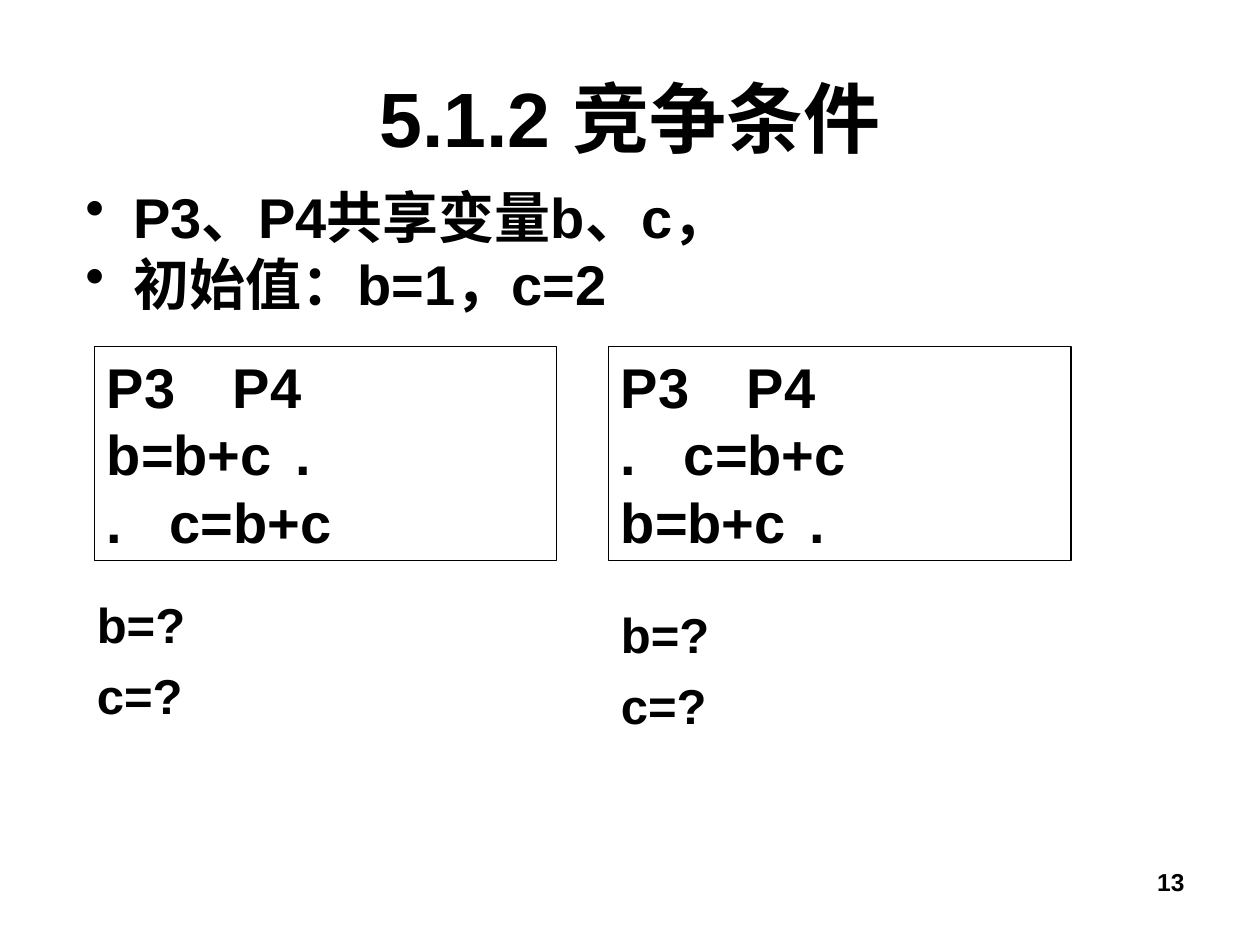
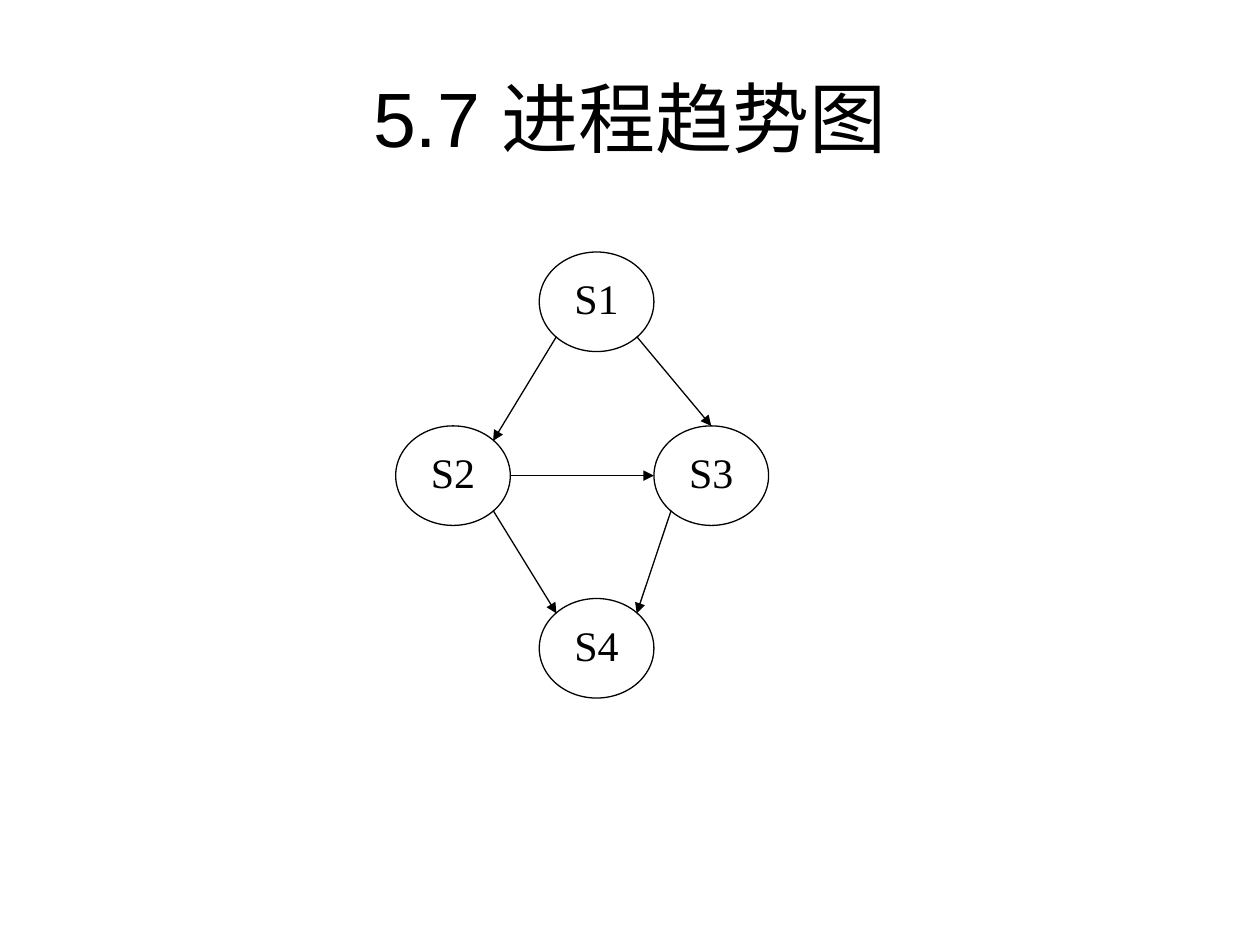
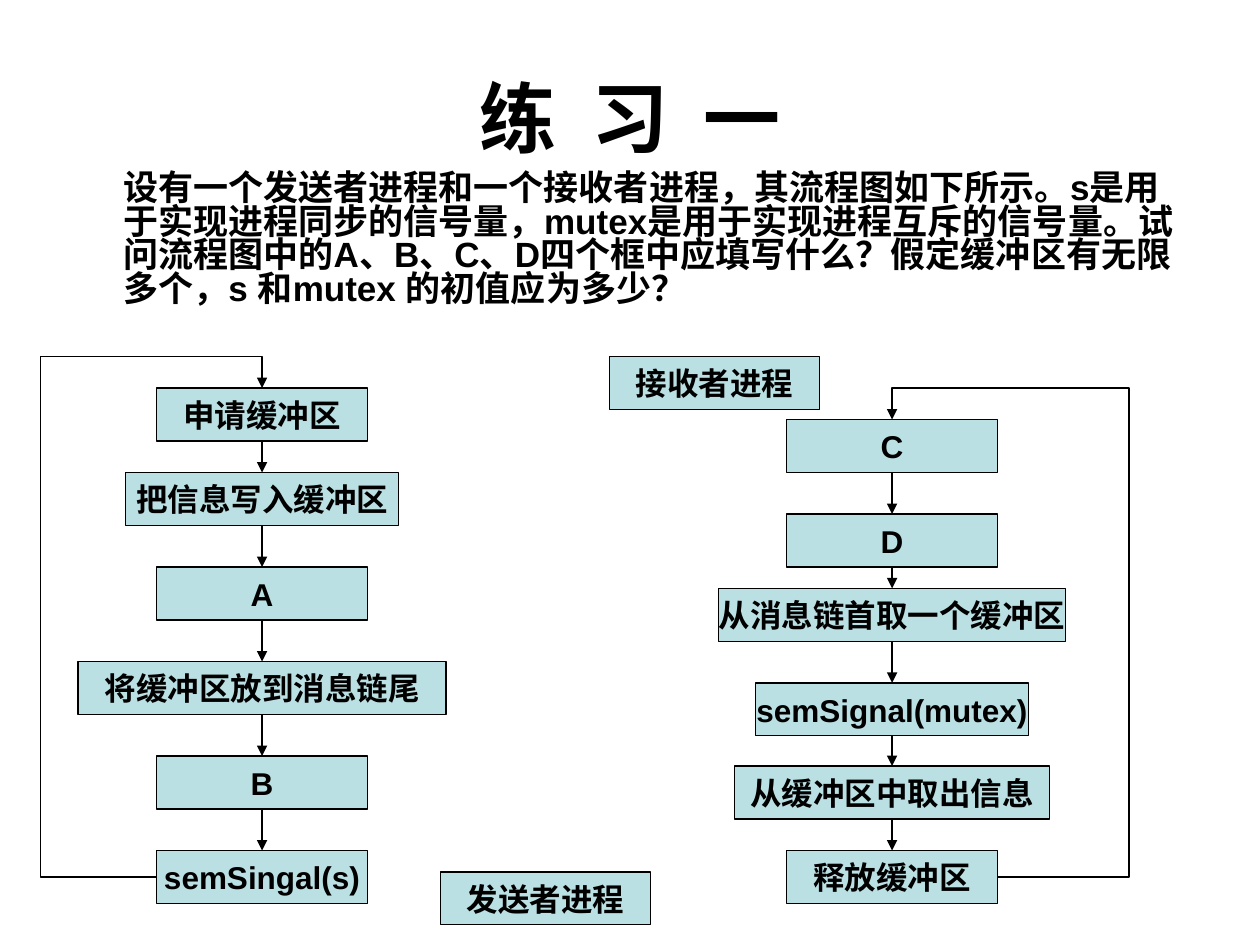
from pptx import Presentation
from pptx.dml.color import RGBColor
from pptx.enum import shapes, text
from pptx.oxml import parse_xml
from pptx.oxml.ns import nsdecls
from pptx.util import Inches, Pt

BLACK = RGBColor(0, 0, 0)
WHITE = RGBColor(255, 255, 255)
TEAL = RGBColor(0xBB, 0xE0, 0xE3)
RECT, OVAL = shapes.MSO_SHAPE.RECTANGLE, shapes.MSO_SHAPE.OVAL
LEFT, MID, RIGHT = text.PP_ALIGN.LEFT, text.PP_ALIGN.CENTER, text.PP_ALIGN.RIGHT
TOP, CORE = text.MSO_ANCHOR.TOP, text.MSO_ANCHOR.MIDDLE


def put(shape, words, size, font="Arial", bold=True, align=LEFT, anchor=TOP,
        pad=(0.1, 0.05), wrap=True, fill=None, edge=False, indent=0,
        bullet=None, tab=None, before=0, lead=None):
    """Fill a shape with text, one paragraph per line, and format both."""
    if fill is None:
        shape.fill.background()
    else:
        shape.fill.solid()
        shape.fill.fore_color.rgb = fill
    if edge:
        shape.shadow.inherit = False
        shape.line.color.rgb = BLACK
        shape.line.width = Pt(0.75)
    frame = shape.text_frame
    frame.auto_size = text.MSO_AUTO_SIZE.NONE
    frame.word_wrap = wrap
    frame.vertical_anchor = anchor
    frame.margin_left = frame.margin_right = Inches(pad[0])
    frame.margin_top = frame.margin_bottom = Inches(pad[1])
    for i, line in enumerate(words.split("\n")):
        para = frame.add_paragraph() if i else frame.paragraphs[0]
        para.alignment = align
        para.space_before = Pt(before)
        if lead:
            para.line_spacing = lead
        run = para.add_run()
        run.text = line
        run.font.name = font
        run.font.size = Pt(size)
        run.font.bold = bold
        run.font.color.rgb = BLACK
        props = para._p.get_or_add_pPr()
        props.set("marL", str(Inches(indent)))
        props.set("indent", str(Inches(-indent if bullet else 0)))
        if bullet:
            props.append(parse_xml(f'<a:buChar {nsdecls("a")} char="{bullet}"/>'))
        if tab:
            props.append(parse_xml(
                f'<a:tabLst {nsdecls("a")}><a:tab pos="{Inches(tab)}" algn="l"/></a:tabLst>'))


def link(slide, *points):
    """Draw an arrow through the points, straight if there are only two."""
    spots = [(Inches(x), Inches(y)) for x, y in points]
    if len(spots) == 2:
        line = slide.shapes.add_connector(
            shapes.MSO_CONNECTOR.STRAIGHT, *spots[0], *spots[1])
        line._element.spPr.append(parse_xml(f'<a:effectLst {nsdecls("a")}/>'))
    else:
        path = slide.shapes.build_freeform(*spots[0], scale=1.0)
        path.add_line_segments(spots[1:], close=False)
        line = path.convert_to_shape()
        line.fill.background()
        line.shadow.inherit = False
    line.line.color.rgb = BLACK
    line.line.width = Pt(0.75)
    line.line._get_or_add_ln().append(
        parse_xml(f'<a:tailEnd {nsdecls("a")} type="triangle"/>'))


deck = Presentation()
deck.slide_width, deck.slide_height = Inches(10), Inches(7.5)

pages = []
for words, bold in (("5.1.2 竞争条件", True), ("5.7 进程趋势图", False), ("练  习  一", True)):
    page = deck.slides.add_slide(deck.slide_layouts[5])
    title = page.shapes.title
    title.left, title.top = Inches(0.5), Inches(0.3)
    title.width, title.height = Inches(9), Inches(1.25)
    put(title, words, 44, bold=bold, align=MID, anchor=CORE)
    pages.append(page)
race, graph, task = pages

# Race conditions
body = race.shapes.add_textbox(Inches(0.58), Inches(1.5), Inches(9.42), Inches(1.17))
put(body, "P3、P4共享变量b、c，\n初始值：b=1，c=2", 32,
    indent=0.38, bullet="•", before=8, lead=0.8)
cases = (
    (0.75, "P3\tP4\nb=b+c\t.\n.\tc=b+c", 0.67, 4.67),
    (4.83, "P3\tP4\n.\tc=b+c\nb=b+c\t.", 4.83, 4.75),
)
for left, code, x, y in cases:
    box = race.shapes.add_shape(RECT, Inches(left), Inches(2.75), Inches(3.67), Inches(1.7))
    put(box, code, 32, edge=True, tab=1.88)
    ask = race.shapes.add_textbox(Inches(x), Inches(y), Inches(1.25), Inches(1.17))
    put(ask, "b=?\nc=?", 28, before=7)
number = race.shapes.add_textbox(Inches(7.17), Inches(6.83), Inches(2.33), Inches(0.52))
put(number, "13", 14, align=RIGHT)

# Process graph
WIDE, HIGH = 0.91, 0.79
nodes = {"S1": (4.28, 2), "S2": (3.14, 3.38), "S3": (5.19, 3.38), "S4": (4.28, 4.75)}
for name, (x, y) in nodes.items():
    node = graph.shapes.add_shape(OVAL, Inches(x), Inches(y), Inches(WIDE), Inches(HIGH))
    put(node, name, 24, font="Times New Roman", bold=False, align=MID,
        fill=WHITE, edge=True)
# Points on an oval, as shares of its width and height
NW, NE, SW, SE = (0.15, 0.15), (0.85, 0.15), (0.15, 0.85), (0.85, 0.85)
N, W, E = (0.5, 0), (0, 0.5), (1, 0.5)
edges = (("S1", SW, "S2", NE), ("S1", SE, "S3", N), ("S2", SE, "S4", NW),
         ("S3", SW, "S4", NE), ("S2", E, "S3", W))
for start, out, end, into in edges:
    link(graph, *((nodes[name][0] + u * WIDE, nodes[name][1] + v * HIGH)
                  for name, (u, v) in ((start, out), (end, into))))

# Sender and receiver flow charts
body = task.shapes.add_textbox(Inches(0.5), Inches(1.33), Inches(9), Inches(1.25))
put(body, "设有一个发送者进程和一个接收者进程，其流程图如下所示。s是用于实现进程同步的信号量，"
    "mutex是用于实现进程互斥的信号量。试问流程图中的A、B、C、D四个框中应填写什么？"
    "假定缓冲区有无限多个，s 和mutex 的初值应为多少？", 20, indent=0.38, before=5, lead=0.8)
TALL, SLIM = 0.42, 1.67
send = (("申请缓冲区", 3.08, SLIM), ("把信息写入缓冲区", 3.75, 2.17), ("A", 4.5, SLIM),
        ("将缓冲区放到消息链尾", 5.25, 2.92), ("B", 6, SLIM), ("semSingal(s)", 6.75, SLIM))
take = (("C", 3.33, SLIM), ("D", 4.08, SLIM), ("从消息链首取一个缓冲区", 4.67, 2.75),
        ("semSignal(mutex)", 5.42, 2.17), ("从缓冲区中取出信息", 6.08, 2.5),
        ("释放缓冲区", 6.75, SLIM))
# Each flow: centre, steps, outer edge of its loop, side of the loop
flows = ((2.08, send, 0.32, -1), (7.08, take, 8.96, 1))
labels = ((4.33, (("发送者进程", 6.92, SLIM),)), (5.67, (("接收者进程", 2.83, SLIM),)))
for mid, steps in labels + tuple(flow[:2] for flow in flows):
    for words, top, width in steps:
        box = task.shapes.add_shape(
            RECT, Inches(mid - width / 2), Inches(top), Inches(width), Inches(TALL))
        put(box, words, 18, align=MID, anchor=CORE, pad=(0.02, 0.01), wrap=False,
            fill=TEAL, edge=True)
for mid, steps, far, side in flows:
    tops = [top for _, top, _ in steps]
    for top, after in zip(tops, tops[1:]):
        link(task, (mid, top + TALL), (mid, after))
    low, high = tops[-1] + TALL / 2, tops[0] - 0.25
    link(task, (mid + side * SLIM / 2, low), (far, low), (far, high),
         (mid, high), (mid, tops[0]))

deck.save("out.pptx")
